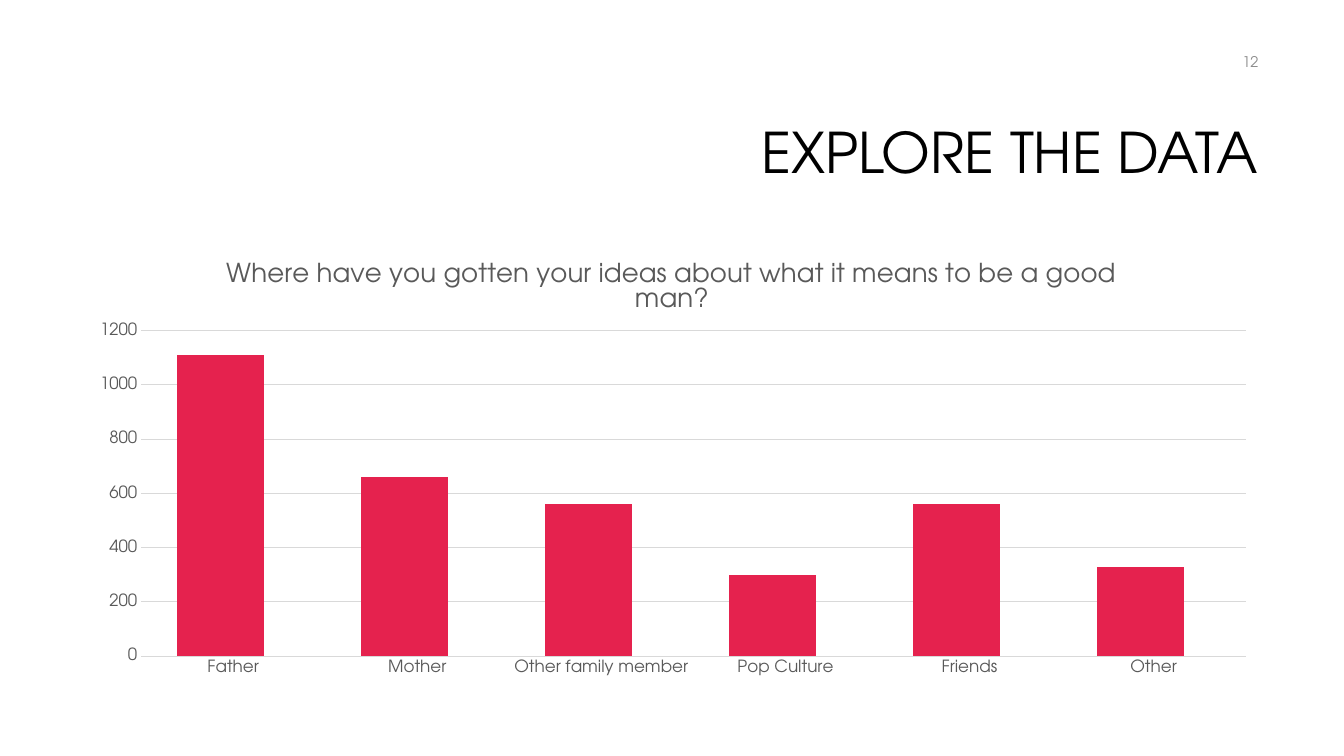
from lxml import etree
from pptx import Presentation
from pptx import util as u
from pptx.chart import data
from pptx.dml.color import RGBColor
from pptx.enum import chart as ch, text
from pptx.oxml import ns

HUES = {"ink": "000000", "text": "595959", "page": "8C8C8C", "grid": "D9D9D9",
        "red": "E5224E", "plum": "9D074E", "violet": "7F2294"}
FACE = "TeX Gyre Adventor"
COLS, ROWS = 160, 90

SOURCES = {"Father": 1110, "Mother": 660, "Other family member": 560,
           "Pop Culture": 300, "Friends": 560, "Other": 330}
PLOT = {"x": 0.055, "y": 0.2, "w": 0.926, "h": 0.734}


class Deck:
    def __init__(self):
        self.prs = Presentation()
        self.prs.slide_width = u.Inches(13.33)
        self.prs.slide_height = u.Inches(7.5)
        self.slide = self.prs.slides.add_slide(self.prs.slide_layouts[5])

    def area(self, col, row, wide, high):
        """Turn grid columns and rows into left, top, width and height."""
        across, down = self.prs.slide_width / COLS, self.prs.slide_height / ROWS
        return [round(n) for n in (col * across, row * down, wide * across, high * down)]

    def style(self, font, size, hue):
        font.name, font.size, font.bold = FACE, u.Pt(size), False
        font.color.rgb = RGBColor.from_string(HUES[hue])

    def words(self, shape, line, size, hue):
        """Fill a shape with one right-aligned, middle-anchored line."""
        frame = shape.text_frame
        frame.word_wrap = True
        frame.auto_size = text.MSO_AUTO_SIZE.NONE
        frame.vertical_anchor = text.MSO_ANCHOR.MIDDLE
        para = frame.paragraphs[0]
        para.alignment = text.PP_ALIGN.RIGHT
        run = para.add_run()
        run.text = line
        self.style(run.font, size, hue)
        return para

    def title(self, line, *cells):
        shape = self.slide.shapes.title
        shape.left, shape.top, shape.width, shape.height = self.area(*cells)
        self.words(shape, line, 40, "ink").line_spacing = 0.9

    def label(self, line, *cells):
        self.words(self.slide.shapes.add_textbox(*self.area(*cells)), line, 10.5, "page")

    def rule(self, line):
        line.color.rgb = RGBColor.from_string(HUES["grid"])
        line.width = u.Pt(0.75)

    def axis(self, axis):
        axis.major_tick_mark = axis.minor_tick_mark = ch.XL_TICK_MARK.NONE
        self.style(axis.tick_labels.font, 12, "text")

    def place(self, chart):
        """Fix the inner plot area as shares of the chart."""
        area = chart.plots[0]._element.getparent()
        for old in area.findall(ns.qn("c:layout")):
            area.remove(old)
        layout = etree.Element(ns.qn("c:layout"))
        area.insert(0, layout)
        manual = etree.SubElement(layout, ns.qn("c:manualLayout"))
        parts = {"layoutTarget": "inner", "xMode": "edge", "yMode": "edge", **PLOT}
        for tag, val in parts.items():
            etree.SubElement(manual, ns.qn("c:" + tag)).set("val", str(val))

    def bars(self, head, series, *cells):
        """Add a column chart; series maps a name to its values and hue."""
        table = data.CategoryChartData()
        table.categories = list(SOURCES)
        for name, (vals, _) in series.items():
            table.add_series(name, vals)
        kind = ch.XL_CHART_TYPE.COLUMN_CLUSTERED
        chart = self.slide.shapes.add_chart(kind, *self.area(*cells), table).chart
        self.style(chart.font, 10, "ink")
        chart.has_legend = False
        chart.has_title = True
        para = chart.chart_title.text_frame.paragraphs[0]
        run = para.add_run()
        run.text = head
        self.style(run.font, 18.6, "text")

        plot = chart.plots[0]
        plot.gap_width, plot.overlap, plot.vary_by_categories = 82, 85, False
        for bar, (_, hue) in zip(plot.series, series.values()):
            bar.format.fill.solid()
            bar.format.fill.fore_color.rgb = RGBColor.from_string(HUES[hue])

        base, scale = chart.category_axis, chart.value_axis
        self.axis(base)
        self.axis(scale)
        self.rule(base.format.line)
        scale.format.line.fill.background()
        scale.minimum_scale, scale.maximum_scale, scale.major_unit = 0, 1200, 200
        scale.has_major_gridlines = True
        self.rule(scale.major_gridlines.format.line)
        self.place(chart)


def main():
    deck = Deck()
    deck.title("EXPLORE THE DATA", 38, 10, 113, 17)
    blank = [None] * len(SOURCES)
    series = {"Series 1": (list(SOURCES.values()), "red"),
              "Series 2": (blank, "plum"),
              "Series 3": (blank, "violet")}
    deck.bars("Where have you gotten your ideas about what it means to be a good man?",
              series, 9, 28.8, 142, 52.8)
    deck.label("12", 115, 5, 36, 4.8)
    deck.prs.save("out.pptx")


if __name__ == "__main__":
    main()
